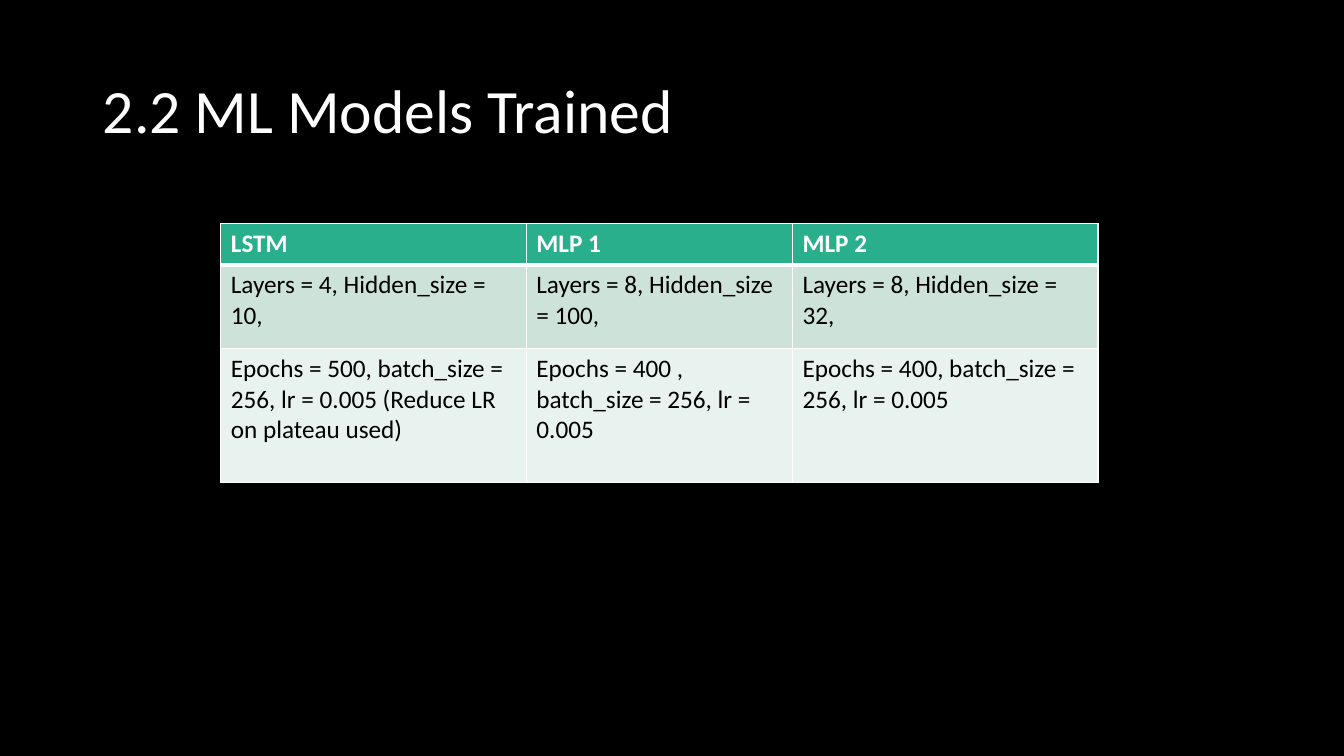
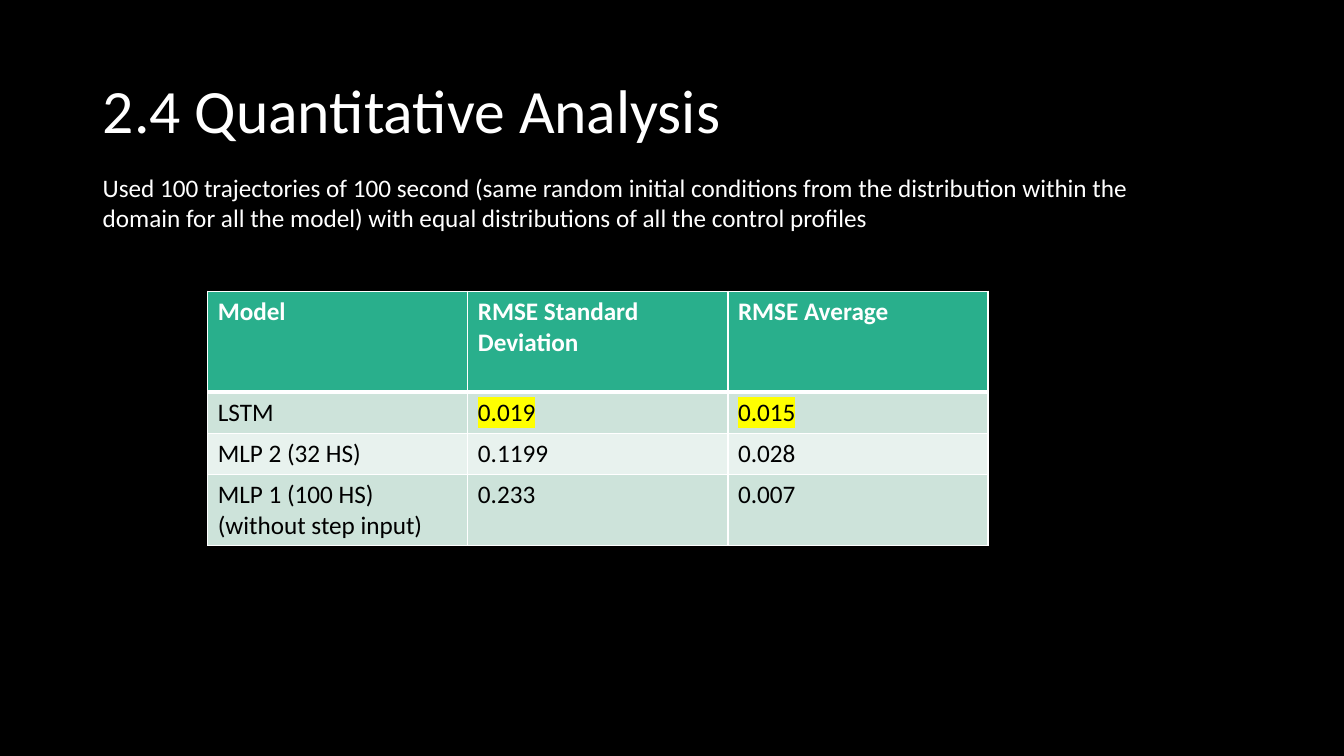
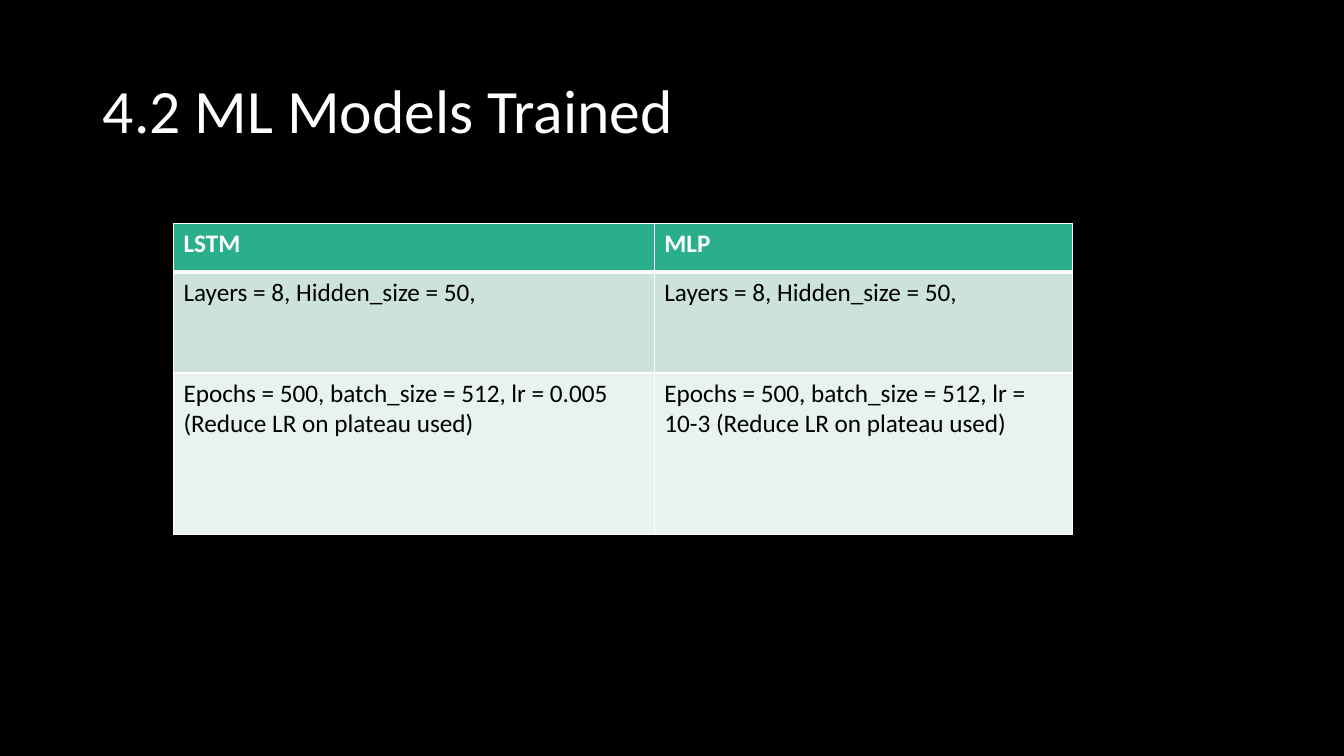
"""Build three dark slides with tables of trained models and their errors."""
from dataclasses import dataclass

from lxml.etree import SubElement
from pptx import Presentation
from pptx.dml.color import RGBColor
from pptx.enum.text import MSO_ANCHOR, MSO_AUTO_SIZE, PP_ALIGN
from pptx.oxml.ns import qn
from pptx.presentation import Presentation as Deck
from pptx.slide import Slide, SlideLayout
from pptx.table import _Cell
from pptx.text.text import TextFrame
from pptx.util import Inches, Pt

COLORS = {
    "background": "000000",
    "light_text": "FFFFFF",
    "dark_text": "000000",
    "border": "FFFFFF",
    "header": "29AF8C",
    "odd_row": "CDE3DA",
    "even_row": "E8F2EE",
    "highlight": "FFFF00",
}
FONT = "Calibri"
TITLE_SIZE = 44
TEXT_SIZE = 18
THIN, THICK = 1, 3


@dataclass(frozen=True)
class ModelTable:
    left: float
    top: float
    widths: tuple[float, ...]
    heights: tuple[float, ...]
    rows: tuple[tuple[str, ...], ...]
    highlighted: tuple[str, ...] = ()


@dataclass(frozen=True)
class Section:
    title: str
    table: ModelTable
    intro: str = ""


SECTIONS = (
    Section(
        "2.2 ML Models Trained",
        ModelTable(
            2.19, 2.22, (3.03, 2.64, 3.03), (0.4, 0.83, 1.33),
            (
                ("LSTM", "MLP 1", "MLP 2"),
                (
                    "Layers = 4, Hidden_size = 10,",
                    "Layers = 8, Hidden_size = 100,",
                    "Layers = 8, Hidden_size = 32,",
                ),
                (
                    "Epochs = 500, batch_size = 256, lr = 0.005 (Reduce LR on plateau used)",
                    "Epochs = 400 , batch_size = 256, lr = 0.005",
                    "Epochs = 400, batch_size = 256, lr = 0.005",
                ),
            ),
        ),
    ),
    Section(
        "2.4 Quantitative Analysis",
        ModelTable(
            2.06, 2.89, (2.58,) * 3, (1, 0.41, 0.41, 0.69),
            (
                ("Model", "RMSE Standard Deviation", "RMSE Average"),
                ("LSTM", "0.019", "0.015"),
                ("MLP 2 (32 HS)", "0.1199", "0.028"),
                ("MLP 1 (100 HS) (without step input)", "0.233", "0.007"),
            ),
            highlighted=("0.019", "0.015"),
        ),
        intro=(
            "Used 100 trajectories of 100 second (same random initial conditions "
            "from the distribution within the domain for all the model) with equal "
            "distributions of all the control profiles"
        ),
    ),
    Section(
        "4.2 ML Models Trained",
        ModelTable(
            1.72, 2.22, (4.77, 4.15), (0.48, 1, 1.6),
            (
                ("LSTM", "MLP"),
                ("Layers = 8, Hidden_size = 50,",) * 2,
                (
                    "Epochs = 500, batch_size = 512, lr = 0.005 (Reduce LR on plateau used)",
                    "Epochs = 500, batch_size = 512, lr = 10-3 (Reduce LR on plateau used)",
                ),
            ),
        ),
    ),
)


def color(name: str) -> RGBColor:
    return RGBColor.from_string(COLORS[name])


def write(frame: TextFrame, text: str, size: int, ink: str, bold: bool = False) -> None:
    frame.text = text
    font = frame.paragraphs[0].runs[0].font
    font.size = Pt(size)
    font.bold = bold
    font.color.rgb = color(ink)
    font.name = FONT


def highlight(cell: _Cell) -> None:
    properties = cell.text_frame.paragraphs[0].runs[0].font._element
    marker = SubElement(properties, qn("a:highlight"))
    SubElement(marker, qn("a:srgbClr"), val=COLORS["highlight"])
    properties.find(qn("a:solidFill")).addnext(marker)


def add_borders(cell: _Cell, top: int, bottom: int) -> None:
    properties = cell._tc.get_or_add_tcPr()
    for side, width in (("L", THIN), ("R", THIN), ("T", top), ("B", bottom)):
        line = SubElement(properties, qn(f"a:ln{side}"), w=str(Pt(width)))
        fill = SubElement(line, qn("a:solidFill"))
        SubElement(fill, qn("a:srgbClr"), val=COLORS["border"])


def add_model_table(slide: Slide, model_table: ModelTable) -> None:
    table = slide.shapes.add_table(
        len(model_table.heights), len(model_table.widths),
        Inches(model_table.left), Inches(model_table.top),
        Inches(sum(model_table.widths)), Inches(sum(model_table.heights)),
    ).table
    for column, width in zip(table.columns, model_table.widths):
        column.width = Inches(width)
    for index, (height, texts) in enumerate(zip(model_table.heights, model_table.rows)):
        table.rows[index].height = Inches(height)
        is_header = index == 0
        band = "header" if is_header else "odd_row" if index % 2 else "even_row"
        for cell, text in zip(table.rows[index].cells, texts):
            add_borders(cell, THICK if index == 1 else THIN, THICK if is_header else THIN)
            cell.fill.solid()
            cell.fill.fore_color.rgb = color(band)
            ink = "light_text" if is_header else "dark_text"
            write(cell.text_frame, text, TEXT_SIZE, ink, is_header)
            if text in model_table.highlighted:
                highlight(cell)


def add_intro(slide: Slide, text: str) -> None:
    frame = slide.shapes.add_textbox(
        Inches(0.92), Inches(1.66), Inches(11.05), Inches(0.71)
    ).text_frame
    frame.word_wrap = True
    frame.auto_size = MSO_AUTO_SIZE.SHAPE_TO_FIT_TEXT
    write(frame, text, TEXT_SIZE, "light_text")


def prepare_layout(deck: Deck) -> SlideLayout:
    background = deck.slide_master.background.fill
    background.solid()
    background.fore_color.rgb = color("background")
    layout = deck.slide_layouts.get_by_name("Title Only")
    title = layout.placeholders[0]
    title.left, title.top = Inches(0.92), Inches(0.4)
    title.width, title.height = Inches(11.5), Inches(1.45)
    return layout


def add_section(deck: Deck, layout: SlideLayout, section: Section) -> None:
    slide = deck.slides.add_slide(layout)
    frame = slide.shapes.title.text_frame
    write(frame, section.title, TITLE_SIZE, "light_text")
    frame.vertical_anchor = MSO_ANCHOR.MIDDLE
    frame.paragraphs[0].alignment = PP_ALIGN.LEFT
    frame.paragraphs[0].line_spacing = 0.9
    if section.intro:
        add_intro(slide, section.intro)
    add_model_table(slide, section.table)


def main() -> None:
    deck = Presentation()
    deck.slide_width, deck.slide_height = Inches(13.33), Inches(7.5)
    layout = prepare_layout(deck)
    for section in SECTIONS:
        add_section(deck, layout, section)
    deck.save("out.pptx")


if __name__ == "__main__":
    main()
